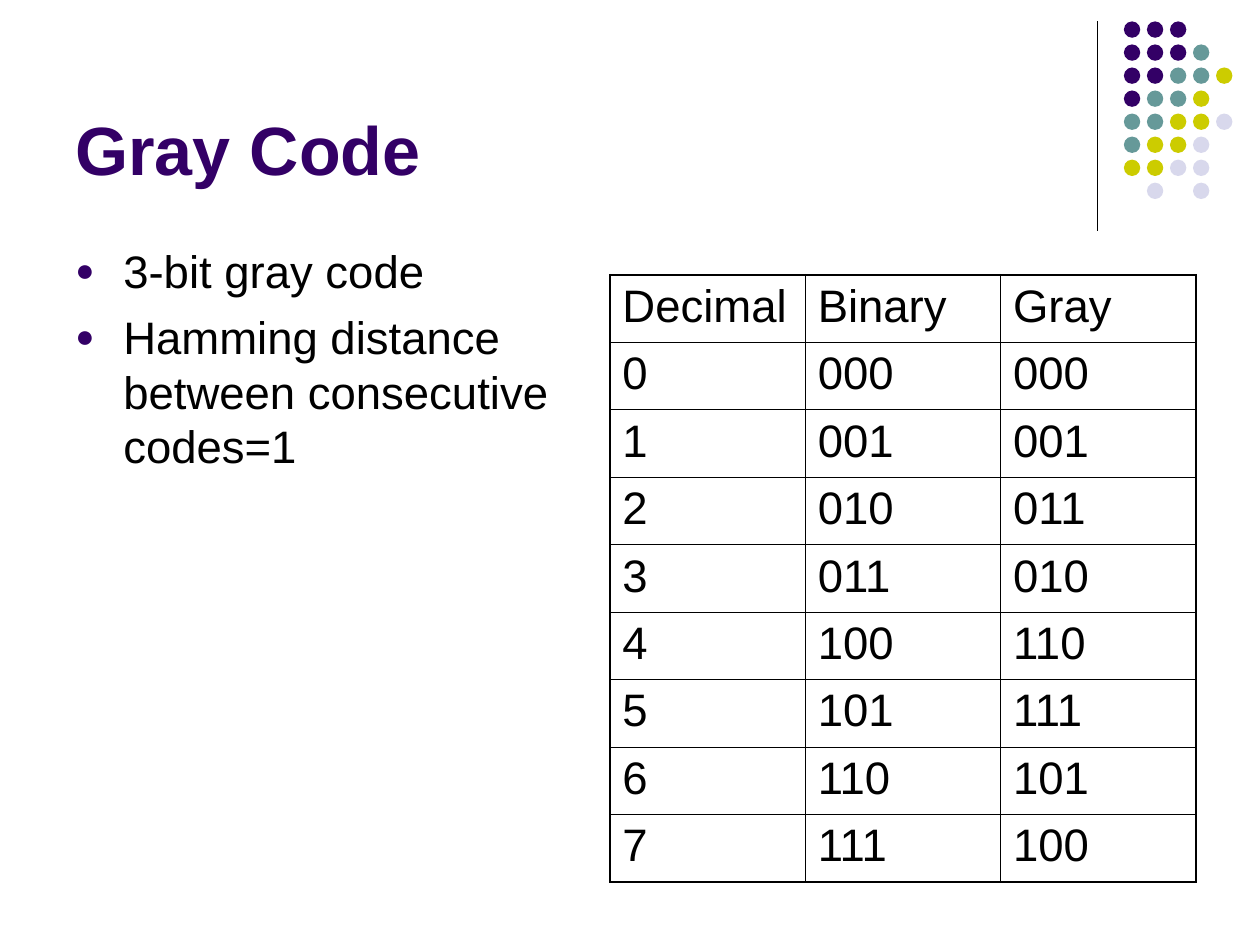
from lxml import etree
from pptx import Presentation
from pptx.dml.color import RGBColor
from pptx.enum.shapes import MSO_CONNECTOR, MSO_SHAPE
from pptx.enum.text import MSO_ANCHOR
from pptx.oxml.ns import qn
from pptx.util import Inches, Pt

STRAIGHT = MSO_CONNECTOR.STRAIGHT
OVAL = MSO_SHAPE.OVAL
TOP, BOTTOM = MSO_ANCHOR.TOP, MSO_ANCHOR.BOTTOM

COLORS = {
    "text": "000000",
    "purple": "330066",
    "teal": "669999",
    "olive": "CCCC00",
    "lavender": "D8D8EC",
}
DOT_COLORS = {"P": "purple", "T": "teal", "O": "olive", "L": "lavender"}
DOT_ROWS = ["PPP", "PPPT", "PPTTO", "PTTO", "TTOOL", "TOOL", "OOLL", ".L.L"]
DOT_SIZE = 0.13
DOT_PITCH = 1.28 / 7


def rgb(name):
    return RGBColor.from_string(COLORS[name])


def write_text(paragraph, text, *, size=26, color="text", bold=False,
               font="Arial", before=0, bullet=None):
    """Fill one paragraph; bullet names the colour of its marker."""
    if bullet:
        properties = paragraph._p.get_or_add_pPr()
        properties.set("marL", str(Inches(0.38)))
        properties.set("indent", str(Inches(-0.38)))
        marker_color = etree.SubElement(properties, qn("a:buClr"))
        etree.SubElement(marker_color, qn("a:srgbClr"), val=COLORS[bullet])
        etree.SubElement(properties, qn("a:buSzPct"), val="70000")
        etree.SubElement(properties, qn("a:buFont"), typeface=font)
        etree.SubElement(properties, qn("a:buChar"), char="●")
    paragraph.space_before = Pt(before)
    run = paragraph.add_run()
    run.text = text
    run.font.name = font
    run.font.size = Pt(size)
    run.font.bold = bold
    run.font.color.rgb = rgb(color)


class SlideBuilder:
    thin, thick = 0.45, 1.08

    def __init__(self, slide):
        self.slide = slide

    def line(self, x1, y1, x2, y2, width=0.75):
        rule = self.slide.shapes.add_connector(
            STRAIGHT, Inches(x1), Inches(y1), Inches(x2), Inches(y2))
        rule.line.color.rgb = rgb("text")
        rule.line.width = Pt(width)
        etree.SubElement(rule._element.spPr, qn("a:effectLst"))

    def dot(self, x, y, color):
        dot = self.slide.shapes.add_shape(
            OVAL, Inches(x), Inches(y), Inches(DOT_SIZE), Inches(DOT_SIZE))
        dot.shadow.inherit = False
        dot.fill.solid()
        dot.fill.fore_color.rgb = rgb(color)
        dot.line.fill.background()

    def text(self, x, y, width, height, paragraphs, anchor=TOP, gap=0, **style):
        frame = self.slide.shapes.add_textbox(
            Inches(x), Inches(y), Inches(width), Inches(height)).text_frame
        frame.word_wrap = True
        frame.vertical_anchor = anchor
        for i, content in enumerate(paragraphs):
            paragraph = frame.add_paragraph() if i else frame.paragraphs[0]
            write_text(paragraph, content, before=gap if i else 0, **style)

    def border(self, cell, side, width):
        edge = etree.SubElement(cell._tc.get_or_add_tcPr(), qn(f"a:ln{side}"),
                                w=str(Pt(width)))
        fill = etree.SubElement(edge, qn("a:solidFill"))
        etree.SubElement(fill, qn("a:srgbClr"), val=COLORS["text"])

    def table(self, x, y, width, height, rows):
        last_row, last_column = len(rows) - 1, len(rows[0]) - 1
        table = self.slide.shapes.add_table(
            len(rows), len(rows[0]), Inches(x), Inches(y),
            Inches(width), Inches(height)).table
        table.first_row = table.horz_banding = False
        for r, row in enumerate(rows):
            for c, value in enumerate(row):
                cell = table.cell(r, c)
                outer = {"L": c == 0, "R": c == last_column,
                         "T": r == 0, "B": r == last_row}
                for side, is_outer in outer.items():
                    self.border(cell, side, self.thick if is_outer else self.thin)
                cell.fill.background()
                write_text(cell.text_frame.paragraphs[0], value)


def main():
    prs = Presentation()
    prs.slide_width, prs.slide_height = Inches(10), Inches(7.5)
    builder = SlideBuilder(prs.slides.add_slide(prs.slide_layouts[6]))

    # Corner decoration
    builder.line(8.71, 0.17, 8.71, 1.83)
    for r, dots in enumerate(DOT_ROWS):
        for c, key in enumerate(dots):
            if key in DOT_COLORS:
                builder.dot(8.92 + c * DOT_PITCH, 0.17 + r * DOT_PITCH,
                            DOT_COLORS[key])

    # Title and key points
    builder.text(0.5, 0.13, 8.25, 1.42, ["Gray Code"], anchor=BOTTOM,
                 size=39, color="purple", bold=True)
    builder.text(0.5, 1.88, 4.42, 4.82,
                 ["3-bit gray code",
                  "Hamming distance between consecutive codes=1"],
                 gap=6.5, bullet="purple")

    # Each Gray code is n XOR (n >> 1)
    codes = [[str(n), f"{n:03b}", f"{n ^ (n >> 1):03b}"] for n in range(8)]
    builder.table(4.84, 2.18, 4.65, 4.82, [["Decimal", "Binary", "Gray"], *codes])

    prs.save("out.pptx")


if __name__ == "__main__":
    main()
